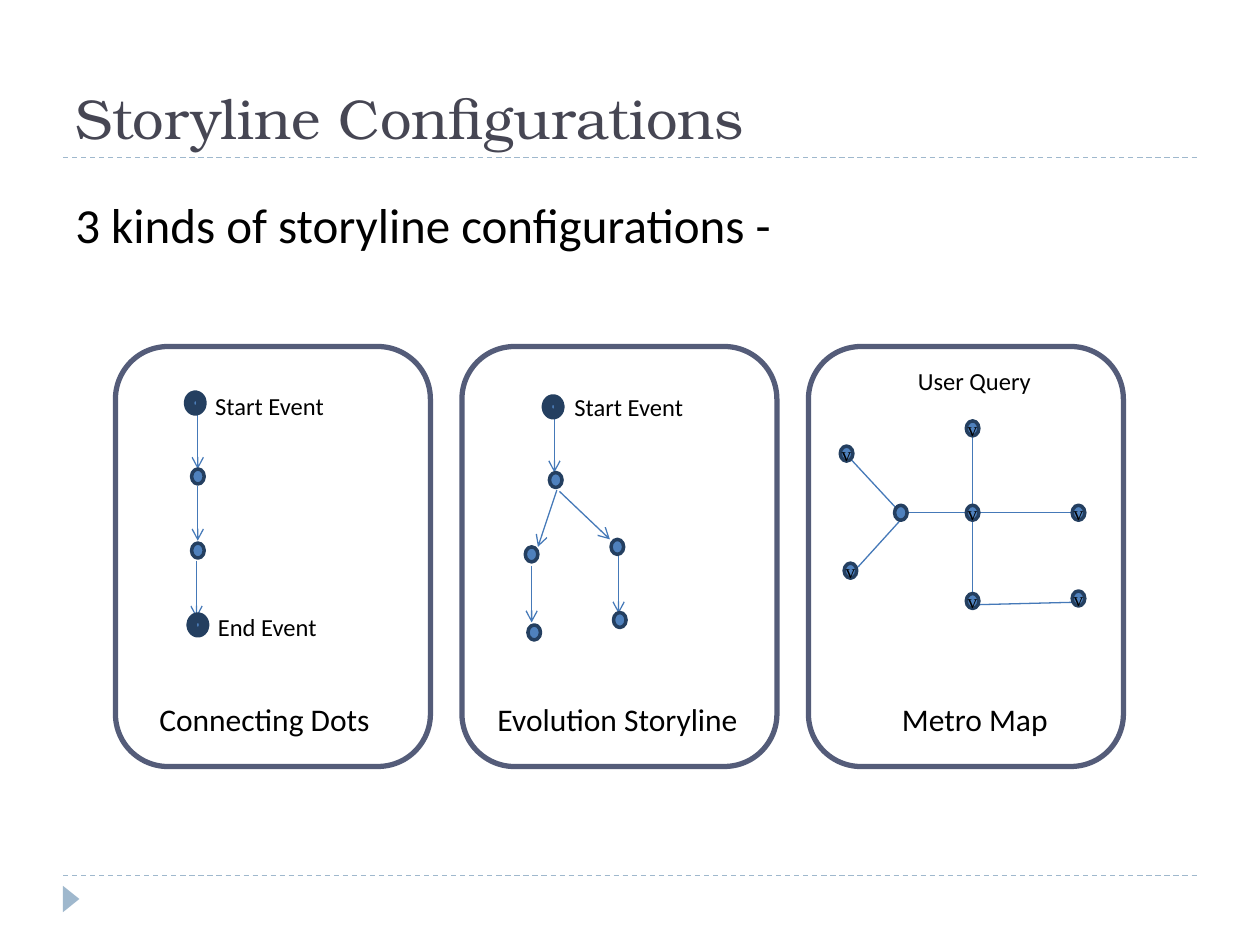
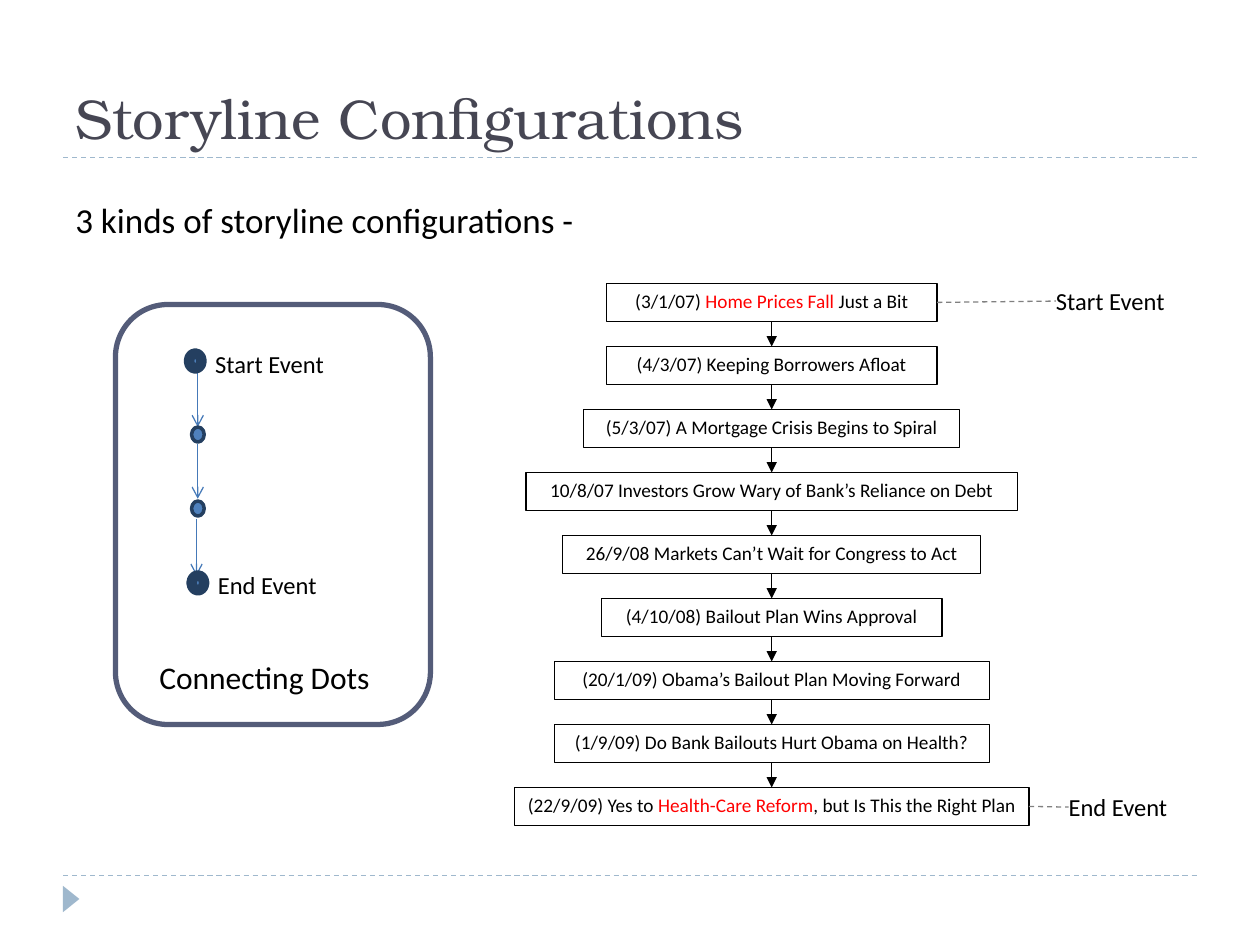
"""Build two slides on storyline configurations: three small graphs and one news chain."""
from lxml import etree
from pptx import Presentation
from pptx.dml.color import RGBColor
from pptx.enum.dml import MSO_LINE
from pptx.enum.shapes import MSO_CONNECTOR, MSO_SHAPE
from pptx.enum.text import MSO_ANCHOR, MSO_AUTO_SIZE, PP_ALIGN
from pptx.oxml.ns import qn
from pptx.util import Pt

STRAIGHT, DASH = MSO_CONNECTOR.STRAIGHT, MSO_LINE.DASH
RECT, ROUND, OVAL = MSO_SHAPE.RECTANGLE, MSO_SHAPE.ROUNDED_RECTANGLE, MSO_SHAPE.OVAL
TRIANGLE = MSO_SHAPE.ISOSCELES_TRIANGLE
TOP, MIDDLE, BOTTOM = MSO_ANCHOR.TOP, MSO_ANCHOR.MIDDLE, MSO_ANCHOR.BOTTOM
LEFT, CENTER = PP_ALIGN.LEFT, PP_ALIGN.CENTER

COLORS = {
    "title": "464653", "text": "000000", "highlight": "FF0000", "white": "FFFFFF",
    "rule": "9FB8CD", "panel": "545C79", "dot": "4F81BD", "ring": "243F60",
    "edge": "4579B8", "callout": "808080",
}
TITLE_FONT, BODY_FONT, DOT_FONT = "TeX Gyre Bonum", "Calibri", "Times New Roman"

TITLE = "Storyline Configurations"
INTRO = "3 kinds of storyline configurations -"

CONNECTING_DOTS = {
    "caption": ("Connecting Dots", 18, 144),
    "ends": [(42, 28), (43.5, 154.8)],
    "dots": [(43.5, 70), (43.5, 112.3)],
    "stops": [],
    "edges": [(47, 37.5, 47, 70), (47, 80, 47, 111), (46.3, 122.4, 46.3, 155)],
    "arrow": "arrow",
    "labels": [("Start Event", (57, 25, 80.6, 17.3), LEFT),
               ("End Event", (58.5, 152, 85, 16.6), LEFT)],
}
EVOLUTION = {
    "caption": ("Evolution Storyline", 13.2, 160.6),
    "ends": [(48.5, 30.2)],
    "dots": [(50, 72), (36.2, 114.5), (85.2, 110.2), (86.6, 152), (37.7, 159.1)],
    "stops": [],
    "edges": [(52.8, 39.6, 52.8, 72), (39.8, 125.3, 39.8, 157.7),
              (54.2, 82.1, 43.4, 114.5), (89.5, 119.5, 89.5, 152.6),
              (55.7, 82.8, 84.5, 110.2)],
    "arrow": "arrow",
    "labels": [("Start Event", (64.3, 23.8, 81.4, 21.6), LEFT)],
}
METRO = {
    "caption": ("Metro Map", 46.3, 98),
    "ends": [],
    "dots": [(49.2, 90.7)],
    "stops": [(90.2, 42.5), (150.7, 90.7), (18.2, 56.9), (20.4, 123.8),
              (90.2, 141.1), (90.2, 90.7), (150.7, 139.7)],
    "edges": [(93.8, 50.4, 93.8, 147.6), (56.4, 95, 150.7, 95),
              (93.8, 147.6, 150.7, 146.2), (50.6, 92.9, 22.5, 62.6),
              (56.4, 95, 28.3, 126)],
    "arrow": None,
    "labels": [("User Query", (54.2, 8.6, 81.4, 21.6), CENTER)],
}
HEADLINES = [
    (189, [("(3/1/07) ", "text"), ("Home Prices Fall ", "highlight"), ("Just a Bit", "text")]),
    (189, "(4/3/07) Keeping Borrowers Afloat"),
    (215, "(5/3/07) A Mortgage Crisis Begins to Spiral"),
    (281, "10/8/07 Investors Grow Wary of Bank’s Reliance on Debt"),
    (239, "26/9/08 Markets Can’t Wait for Congress to Act"),
    (194.5, "(4/10/08) Bailout Plan Wins Approval"),
    (248.5, "(20/1/09) Obama’s Bailout Plan Moving Forward"),
    (248.5, "(1/9/09) Do Bank Bailouts Hurt Obama on Health?"),
    (294, [("(22/9/09) Yes to ", "text"), ("Health-Care Reform", "highlight"),
           (", but Is This the Right Plan", "text")]),
]
CALLOUTS = [("Start Event", (603.4, 163.4, 80.6, 17.3), 0),
            ("End Event", (610.6, 452.9, 85, 16.6), -1)]

PANEL_LEFT, PANEL_STEP, PANEL_W, PANEL_H = 66, 198, 180, 240
DOT_W, DOT_H = 7.2, 8.6
CHAIN_CENTER, CHAIN_TOP, CHAIN_STEP, CHAIN_H = 441, 162, 36, 21.6


def rgb(name):
    return RGBColor.from_string(COLORS[name])


def write(sp, content, size, font=BODY_FONT, color="text", align=LEFT, anchor=TOP,
          inset=None, wrap=True):
    tf = sp.text_frame
    frame = {"word_wrap": wrap, "auto_size": MSO_AUTO_SIZE.NONE, "vertical_anchor": anchor}
    if inset is not None:
        sides = ("margin_left", "margin_top", "margin_right", "margin_bottom")
        frame.update({side: Pt(inset) for side in sides})
    for name, value in frame.items():
        setattr(tf, name, value)
    p = tf.paragraphs[0]
    p.alignment = align
    runs = [(content, color)] if isinstance(content, str) else content
    for text, run_color in runs:
        r = p.add_run()
        r.text = text
        for name, value in {"size": Pt(size), "name": font, "bold": False}.items():
            setattr(r.font, name, value)
        r.font.color.rgb = rgb(run_color)


def add_shape(s, kind, box, fill=None, line=None, width=0.75):
    sp = s.shapes.add_shape(kind, *map(Pt, box))
    sp.shadow.inherit = False
    if fill:
        sp.fill.solid()
        sp.fill.fore_color.rgb = rgb(fill)
    else:
        sp.fill.background()
    if line:
        sp.line.color.rgb = rgb(line)
        sp.line.width = Pt(width)
    else:
        sp.line.fill.background()
    return sp


def add_text(s, content, box, size, **style):
    write(s.shapes.add_textbox(*map(Pt, box)), content, size, **style)


def add_label(s, text, box, align=LEFT):
    sp = add_shape(s, RECT, box, "white")
    write(sp, text, 14, align=align, anchor=MIDDLE, inset=0)
    return sp


def add_line(s, points, color, dash=None, head=None):
    c = s.shapes.add_connector(STRAIGHT, *map(Pt, points))
    c.line.color.rgb = rgb(color)
    c.line.width = Pt(0.75)
    if dash:
        c.line.dash_style = dash
    spPr = c._element.spPr
    if head:
        etree.SubElement(spPr.find(qn("a:ln")), qn("a:tailEnd"), type=head)
    etree.SubElement(spPr, qn("a:effectLst"))
    return c


def join(s, first, first_side, second, second_side, color, **style):
    c = add_line(s, (0, 0, 0, 0), color, **style)
    c.begin_connect(first, first_side)
    c.end_connect(second, second_side)


def add_slide(prs, intro_box, intro_size):
    s = prs.slides.add_slide(prs.slide_layouts[5])
    for y in (500.4, 90):
        add_line(s, (36, y, 684, y), "rule", dash=DASH)
    add_shape(s, TRIANGLE, (33.1, 509, 15.1, 9.4), "rule").rotation = 90
    title = s.shapes.title
    title.left, title.top, title.width, title.height = map(Pt, (36, 12.2, 648, 77.8))
    write(title, TITLE, 32, font=TITLE_FONT, color="title", anchor=BOTTOM)
    add_text(s, INTRO, intro_box, intro_size)
    return s


def add_panel(s, graph, left, top):
    for x1, y1, x2, y2 in graph["edges"]:
        add_line(s, (left + x1, top + y1, left + x2, top + y2), "edge", head=graph["arrow"])
    for kind, ring in (("ends", 6), ("dots", 2), ("stops", 2)):
        for x, y in graph[kind]:
            box = (left + x, top + y, DOT_W, DOT_H)
            sp = add_shape(s, OVAL, box, "dot", "ring", ring)
            if kind == "stops":
                write(sp, "v", 11, font=DOT_FONT, align=CENTER, anchor=MIDDLE,
                      inset=0, wrap=False)
    for text, (x, y, w, h), align in graph["labels"]:
        add_label(s, text, (left + x, top + y, w, h), align)
    text, x, w = graph["caption"]
    add_text(s, text, (left + x, top + 198.7, w, 29), 18, wrap=False)
    add_shape(s, ROUND, (left, top, PANEL_W, PANEL_H), line="panel", width=3)


def add_chain(s):
    boxes = []
    for i, (w, headline) in enumerate(HEADLINES):
        box = (CHAIN_CENTER - w / 2, CHAIN_TOP + i * CHAIN_STEP, w, CHAIN_H)
        sp = add_shape(s, RECT, box, "white", "text")
        write(sp, headline, 11, align=CENTER, wrap=False)
        boxes.append(sp)
    for upper, lower in zip(boxes, boxes[1:]):
        join(s, upper, 2, lower, 0, "text", head="triangle")
    for text, box, i in CALLOUTS:
        join(s, boxes[i], 3, add_label(s, text, box), 1, "callout", dash=DASH)


def main():
    prs = Presentation()
    prs.slide_width, prs.slide_height = Pt(720), Pt(540)

    s = add_slide(prs, (36, 107.5, 648, 43), 28)
    for i, graph in enumerate((CONNECTING_DOTS, EVOLUTION, METRO)):
        add_panel(s, graph, PANEL_LEFT + i * PANEL_STEP, 198)

    s = add_slide(prs, (36, 110, 468, 46), 20)
    add_panel(s, CONNECTING_DOTS, PANEL_LEFT, 174)
    add_chain(s)

    prs.save("out.pptx")


if __name__ == "__main__":
    main()
